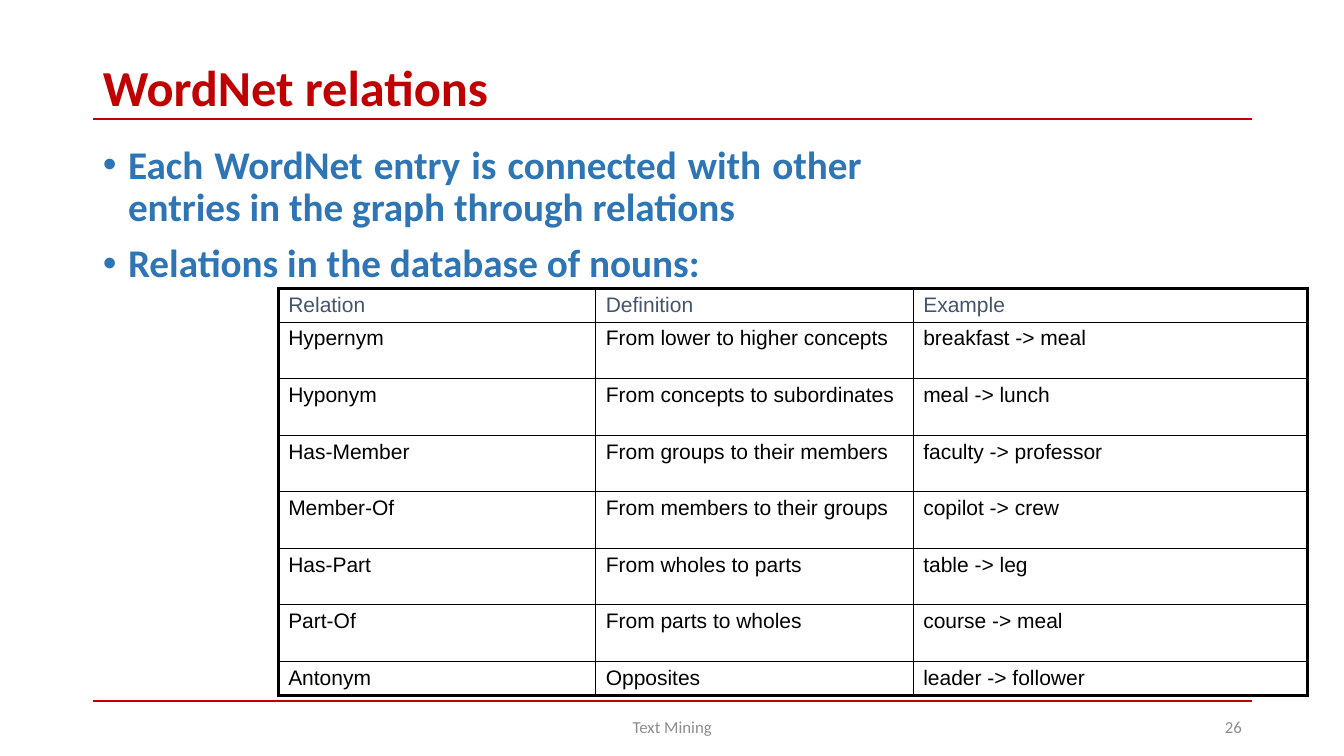
from pptx import Presentation
from pptx.dml.color import RGBColor
from pptx.enum import shapes, text
from pptx.oxml import parse_xml
from pptx.oxml.ns import nsdecls, qn
from pptx.util import Pt
from lxml import etree

RED = RGBColor(0xC0, 0x00, 0x00)
BLUE = RGBColor(0x2E, 0x75, 0xB6)
SLATE = RGBColor(0x44, 0x54, 0x6A)
GREY = RGBColor(0x8C, 0x8C, 0x8C)
BLACK = RGBColor(0, 0, 0)
LEFT, WIDE = 66.24, 828
ALIGN = text.PP_ALIGN

POINTS = [
    "Each WordNet entry is connected with other entries in the graph "
    "through relations",
    "Relations in the database of nouns:",
]
ROWS = [
    ("Relation", "Definition", "Example"),
    ("Hypernym", "From lower to higher concepts", "breakfast -> meal"),
    ("Hyponym", "From concepts to subordinates", "meal -> lunch"),
    ("Has-Member", "From groups to their members", "faculty -> professor"),
    ("Member-Of", "From members to their groups", "copilot -> crew"),
    ("Has-Part", "From wholes to parts", "table -> leg"),
    ("Part-Of", "From parts to wholes", "course -> meal"),
    ("Antonym", "Opposites", "leader -> follower"),
]


class Deck:
    def __init__(self):
        self.prs = Presentation()
        self.prs.slide_width, self.prs.slide_height = Pt(960), Pt(540)
        self.slide = self.prs.slides.add_slide(self.prs.slide_layouts[1])
        self.font = "Calibri"

    def run(self, para, words, size, color, bold=False, font=None):
        run = para.add_run()
        run.text = words
        run.font.name = font or self.font
        run.font.size, run.font.bold = Pt(size), bold
        run.font.color.rgb = color

    def place(self, shape, x, y, w, h, anchor):
        shape.left, shape.top = Pt(x), Pt(y)
        shape.width, shape.height = Pt(w), Pt(h)
        frame = shape.text_frame
        frame.word_wrap = True
        frame.auto_size = text.MSO_AUTO_SIZE.NONE
        frame.vertical_anchor = anchor
        return frame

    def title(self, words, x, y, w, h):
        frame = self.place(self.slide.shapes.title, x, y, w, h,
                           text.MSO_ANCHOR.MIDDLE)
        para = frame.paragraphs[0]
        para.alignment, para.line_spacing = ALIGN.LEFT, 0.9
        self.run(para, words, 36, RED, True)

    def list(self, items, x, y, w, h):
        frame = self.place(self.slide.placeholders[1], x, y, w, h,
                           text.MSO_ANCHOR.TOP)
        for i, item in enumerate(items):
            para = frame.add_paragraph() if i else frame.paragraphs[0]
            props = para._p.get_or_add_pPr()
            props.set("marL", str(Pt(18)))
            props.set("indent", str(-Pt(18)))
            etree.SubElement(props, qn("a:buFont")).set("typeface", "Arial")
            etree.SubElement(props, qn("a:buChar")).set("char", "•")
            para.alignment, para.line_spacing = ALIGN.JUSTIFY, 0.9
            para.space_before = Pt(10 if i else 0)
            self.run(para, item, 28, BLUE, True)

    def rule(self, y):
        line = self.slide.shapes.add_connector(
            shapes.MSO_CONNECTOR.STRAIGHT,
            Pt(LEFT), Pt(y), Pt(LEFT + WIDE), Pt(y))
        line.line.color.rgb, line.line.width = RED, Pt(1.5)
        etree.SubElement(line._element.spPr, qn("a:effectLst"))

    def label(self, words, x, w, align):
        box = self.slide.shapes.add_textbox(0, 0, 0, 0)
        frame = self.place(box, x, 504.72, w, 28.8, text.MSO_ANCHOR.MIDDLE)
        para = frame.paragraphs[0]
        para.alignment = align
        self.run(para, words, 12, GREY)

    def border(self, cell, edges):
        """Draw cell edges; a true value marks the thick outer frame."""
        props = cell._tc.get_or_add_tcPr()
        for i, (side, outer) in enumerate(edges.items()):
            width = Pt(2.25 if outer else 1)
            props.insert(i, parse_xml(
                f'<a:ln{side} {nsdecls("a")} w="{width}"><a:solidFill>'
                f'<a:srgbClr val="{BLACK}"/></a:solidFill></a:ln{side}>'))

    def table(self, rows, x, y, cols, highs):
        grid = self.slide.shapes.add_table(
            len(rows), len(cols), Pt(x), Pt(y),
            Pt(sum(cols)), Pt(sum(highs))).table
        grid.first_row = grid.horz_banding = False
        for col, w in zip(grid.columns, cols):
            col.width = Pt(w)
        for r, (row, h) in enumerate(zip(rows, highs)):
            grid.rows[r].height = Pt(h)
            for c, words in enumerate(row):
                cell = grid.cell(r, c)
                cell.margin_top = cell.margin_bottom = Pt(3.5)
                cell.fill.background()
                self.border(cell, {"L": c == 0, "R": c == len(cols) - 1,
                                   "T": r == 0, "B": r == len(rows) - 1})
                self.run(cell.text_frame.paragraphs[0], words, 15,
                         BLACK if r else SLATE, font="Arial")


def main():
    deck = Deck()
    for y in (84.96, 500.4):
        deck.rule(y)
    deck.title("WordNet relations", LEFT, 43.92, WIDE, 41.76)
    deck.list(POINTS, LEFT, 100.08, 556.56, 111.6)
    deck.label("Text Mining", 318.24, 324, ALIGN.CENTER)
    deck.label("26", 678.24, 216, ALIGN.RIGHT)
    deck.table(ROWS, 198.72, 205.92, [226.8, 226.8, 281.52],
               [24.2] + [40.4] * 6 + [24.2])
    deck.prs.save("out.pptx")


if __name__ == "__main__":
    main()
